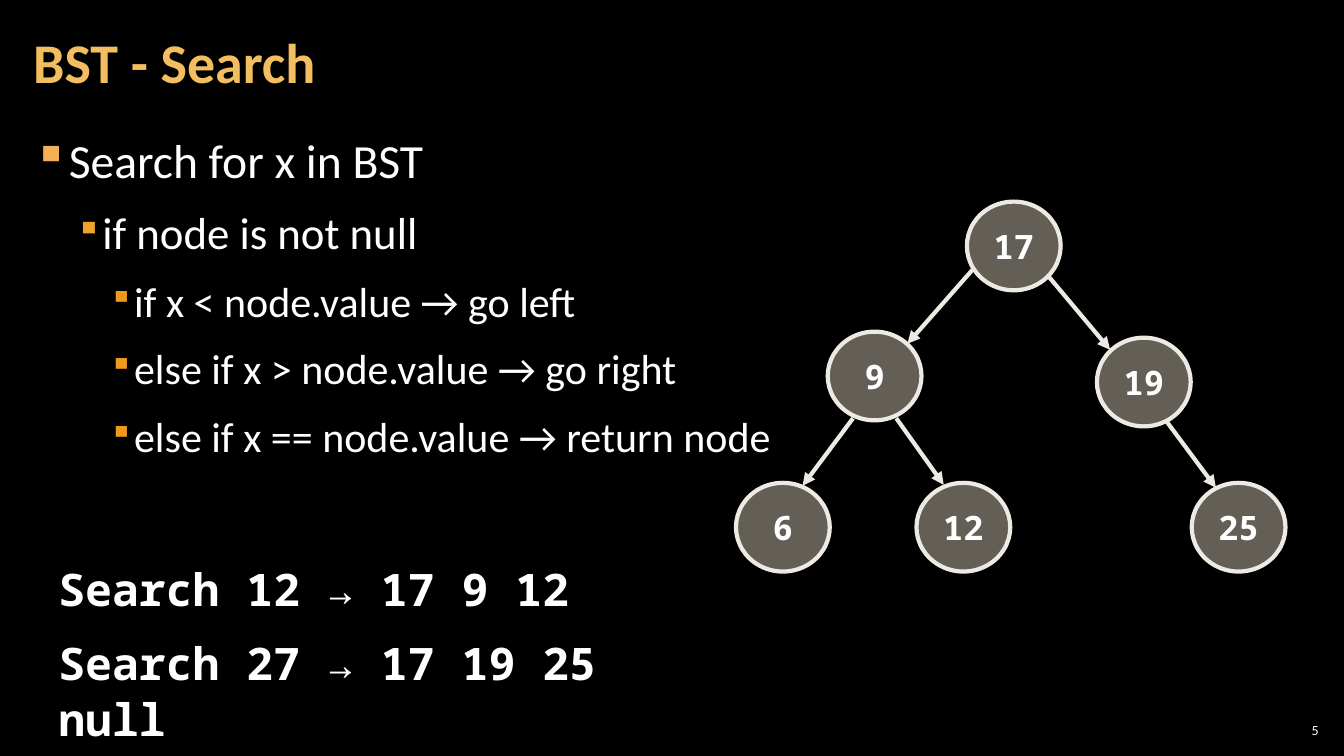
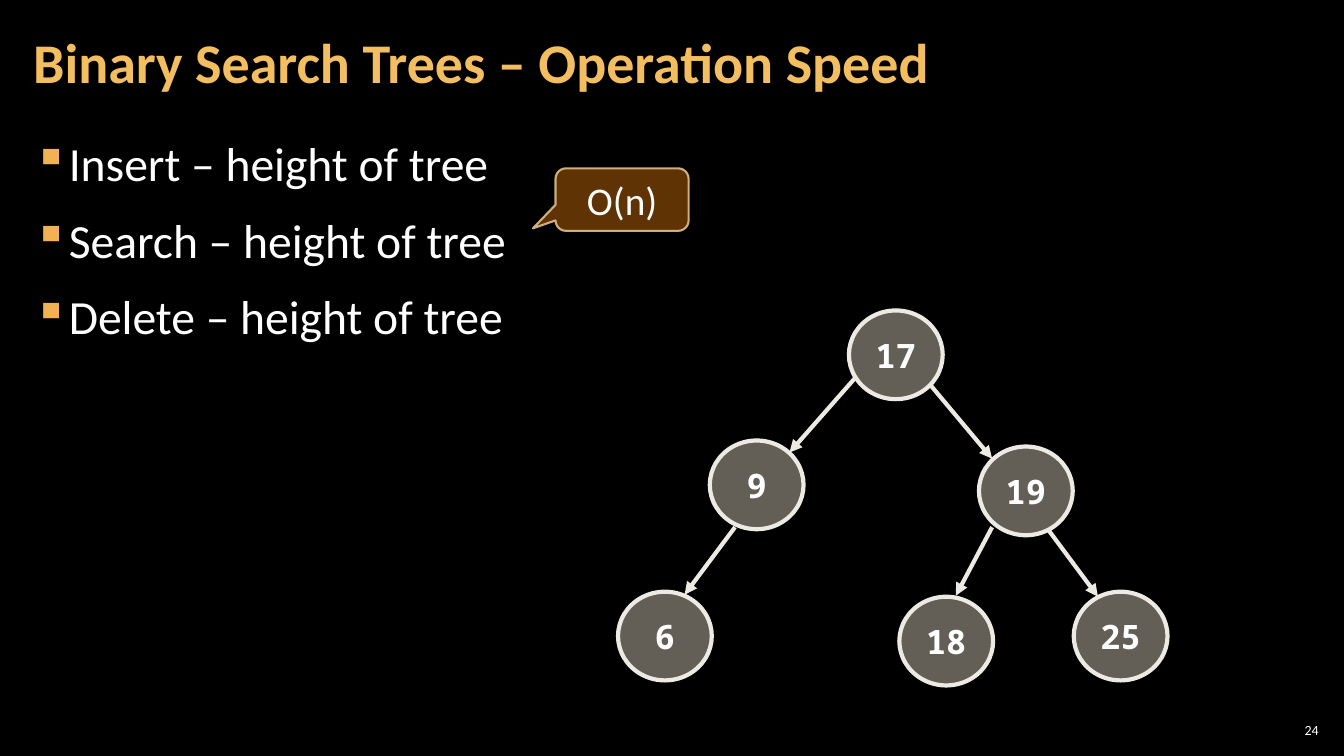
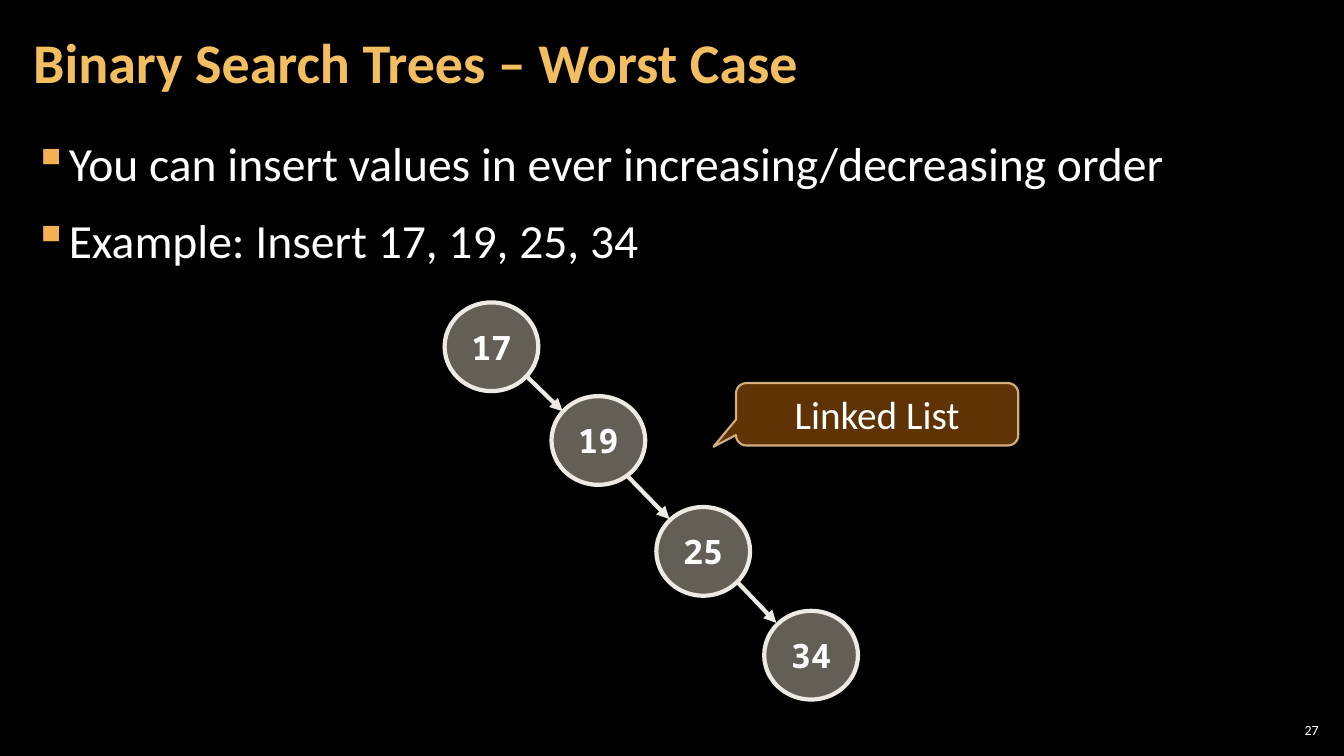
from pptx import Presentation
from pptx.dml.color import RGBColor
from pptx.enum.shapes import MSO_CONNECTOR as Link, MSO_SHAPE as Shape
from pptx.enum.text import MSO_ANCHOR as Anchor, PP_ALIGN as Align
from pptx.oxml.ns import qn
from pptx.util import Inches, Pt
from lxml.etree import SubElement

BLACK = RGBColor(0x00, 0x00, 0x00)
WHITE = RGBColor(0xFF, 0xFF, 0xFF)
GOLD = RGBColor(0xF3, 0xBE, 0x60)
STONE = RGBColor(0xC7, 0xBF, 0xAC)
CREAM = RGBColor(0xEC, 0xEA, 0xE3)
BROWN = RGBColor(0x66, 0x36, 0x06)
SAND = RGBColor(0xF8, 0xD4, 0x9E)

SANS, MONO = "Calibri", "Noto Sans Mono"
NODE_W, NODE_H = 0.93, 0.88
PAD = (0.12, 0.04)

# Per level: text size, left margin, hanging indent, bullet colour, bullet percent
LEVELS = [
    (34, 0.33, 0.33, "F2B254", 100),
    (32, 0.67, 0.25, "F0A22E", 80),
    (30, 1.00, 0.25, "EF9A1D", 80),
]

# Nodes are (value, left, top); edges are (start x, start y, end x, end y)
TREE_NODES = [("17", 9.59, 2), ("19", 10.88, 3.35), ("9", 8.21, 3.29),
              ("6", 7.3, 4.79), ("25", 11.82, 4.79)]
TREE_EDGES = [(9.66, 2.66, 9, 3.41), (8.46, 4.15, 7.96, 4.82),
              (10.39, 2.73, 11.01, 3.47), (11.57, 4.18, 12.06, 4.84)]


def shift(parts, dx, dy):
    """Move nodes or edges; each part ends in x, y pairs."""
    moved = []
    for part in parts:
        head = part[:len(part) % 2]
        pos = part[len(head):]
        moved.append(head + tuple(v + (dy if i % 2 else dx)
                                  for i, v in enumerate(pos)))
    return moved


SLIDES = [
    dict(title="BST - Search", number="5", spacing=1.0,
         body=[(0, "Search for x in BST"),
               (1, "if node is not null"),
               (2, "if x < node.value → go left"),
               (2, "else if x > node.value → go right"),
               (2, "else if x == node.value → return node")],
         nodes=TREE_NODES + [("12", 9.09, 4.79)],
         edges=TREE_EDGES + [(8.89, 4.15, 9.36, 4.81)],
         trace=["Search 12 → 17 9 12", "Search 27 → 17 19 25 null"]),
    dict(title="Binary Search Trees – Operation Speed", number="24", spacing=1.05,
         body=[(0, "Insert – height of tree"),
               (0, "Search – height of tree"),
               (0, "Delete – height of tree")],
         nodes=shift(TREE_NODES, -1.17, 1.08) + [("18", 8.92, 5.92)],
         edges=shift(TREE_EDGES, -1.17, 1.08) + [(9.84, 5.23, 9.48, 5.91)],
         callout=("O(n)", (5.51, 1.67, 1.32, 0.62), (-0.67, 0.46))),
    dict(title="Binary Search Trees – Worst Case", number="27", spacing=1.05,
         body=[(0, "You can insert values in ever increasing/decreasing order"),
               (0, "Example: Insert 17, 19, 25, 34")],
         nodes=[("17", 4.41, 3), ("19", 5.47, 3.93),
                ("25", 6.51, 5.03), ("34", 7.58, 6.06)],
         edges=[(5.22, 3.73, 5.58, 4.08), (6.23, 4.73, 6.64, 5.15),
                (7.3, 5.76, 7.7, 6.18)],
         callout=("Linked List", (7.3, 3.8, 2.8, 0.62), (-0.58, 0.52))),
]


def add_run(para, text, size, font=SANS, color=WHITE, bold=False):
    run = para.add_run()
    run.text = text
    run.font.size = Pt(size)
    run.font.name = font
    run.font.bold = bold
    run.font.color.rgb = color


def add_box(slide, at, pad=(0.1, 0.05), anchor=Anchor.TOP):
    frame = slide.shapes.add_textbox(*map(Inches, at)).text_frame
    frame.word_wrap = True
    frame.vertical_anchor = anchor
    frame.margin_left = frame.margin_right = Inches(pad[0])
    frame.margin_top = frame.margin_bottom = Inches(pad[1])
    return frame


def add_paras(frame, count, spacing):
    """Yield paragraphs spaced 6 pt apart on each side."""
    for i in range(count):
        para = frame.add_paragraph() if i else frame.paragraphs[0]
        para.space_before = Pt(6 if i else 0)
        para.space_after = Pt(6)
        para.line_spacing = spacing
        yield para


def set_bullet(para, left, hang, color, percent):
    props = para._p.get_or_add_pPr()
    props.set("marL", str(Inches(left)))
    props.set("indent", str(-Inches(hang)))
    SubElement(SubElement(props, qn("a:buClr")), qn("a:srgbClr"), val=color)
    SubElement(props, qn("a:buSzPct"), val=str(percent * 1000))
    SubElement(props, qn("a:buChar"), char="▪")


def set_alpha(part, percent):
    """Set the opacity of the first colour inside an XML part."""
    color = part.find(".//" + qn("a:srgbClr"))
    SubElement(color, qn("a:alpha"), val=str(percent * 1000))


def add_label(slide, kind, at, text, fill, alpha, line, width, **font):
    """Add a see-through shape with one centred line of text."""
    shape = slide.shapes.add_shape(kind, *map(Inches, at))
    shape.shadow.inherit = False
    shape.fill.solid()
    shape.fill.fore_color.rgb = fill
    set_alpha(shape._element.spPr, alpha)
    shape.line.color.rgb = line
    shape.line.width = Pt(width)
    frame = shape.text_frame
    frame.vertical_anchor = Anchor.MIDDLE
    para = frame.paragraphs[0]
    para.alignment = Align.CENTER
    add_run(para, text, **font)
    return shape


def add_node(slide, value, left, top):
    node = add_label(slide, Shape.OVAL, (left, top, NODE_W, NODE_H), value,
                     STONE, 50, CREAM, 3, size=24, font=MONO, bold=True)
    node.text_frame.word_wrap = False


def add_edge(slide, *ends):
    edge = slide.shapes.add_connector(Link.STRAIGHT, *map(Inches, ends))
    edge.line.color.rgb = CREAM
    edge.line.width = Pt(3)
    props = edge._element.spPr
    SubElement(props.find(qn("a:ln")), qn("a:tailEnd"), type="triangle")
    SubElement(props, qn("a:effectLst"))


def add_callout(slide, text, at, tip):
    shape = add_label(slide, Shape.ROUNDED_RECTANGULAR_CALLOUT, at, text,
                      BROWN, 95, SAND, 1.5, size=28)
    set_alpha(shape._element.spPr.find(qn("a:ln")), 80)
    shape.adjustments[0], shape.adjustments[1] = tip


def add_base(deck, title, number):
    """Add a slide with the shared background, title and number."""
    slide = deck.slides.add_slide(deck.slide_layouts[6])
    slide.background.fill.solid()
    slide.background.fill.fore_color.rgb = BLACK
    para = add_box(slide, (12.65, 7.14, 0.47, 0.21), (0.04, 0.04),
                   Anchor.MIDDLE).paragraphs[0]
    para.alignment = Align.RIGHT
    add_run(para, number, 10)
    para = add_box(slide, (0.21, 0.04, 10.47, 1.21), PAD,
                   Anchor.MIDDLE).paragraphs[0]
    para.line_spacing = 0.9
    add_run(para, title, 40, color=GOLD, bold=True)
    return slide


def add_body(slide, items, spacing):
    frame = add_box(slide, (0.21, 1.26, 12.91, 6.09), PAD)
    for para, (level, text) in zip(add_paras(frame, len(items), spacing), items):
        size, *bullet = LEVELS[level]
        para.level = level
        set_bullet(para, *bullet)
        add_run(para, text, size)


def add_trace(slide, lines):
    frame = add_box(slide, (0.48, 5.5, 6.86, 1.4))
    for para, text in zip(add_paras(frame, len(lines), 1.05), lines):
        add_run(para, text, 32, MONO, bold=True)


def main():
    deck = Presentation()
    deck.slide_width, deck.slide_height = Inches(13.33), Inches(7.5)
    for data in SLIDES:
        slide = add_base(deck, data["title"], data["number"])
        add_body(slide, data["body"], data["spacing"])
        for node in data["nodes"]:
            add_node(slide, *node)
        for edge in data["edges"]:
            add_edge(slide, *edge)
        if "trace" in data:
            add_trace(slide, data["trace"])
        if "callout" in data:
            add_callout(slide, *data["callout"])
    deck.save("out.pptx")


if __name__ == "__main__":
    main()
